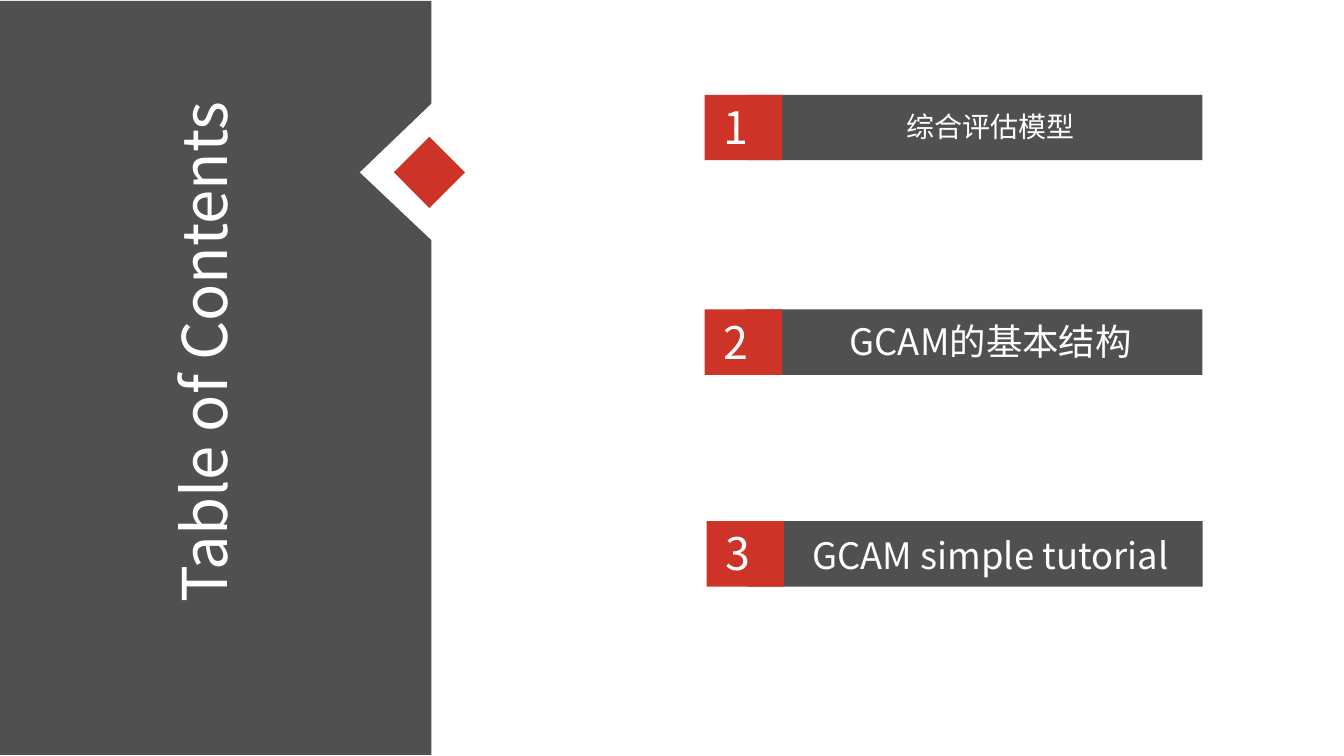
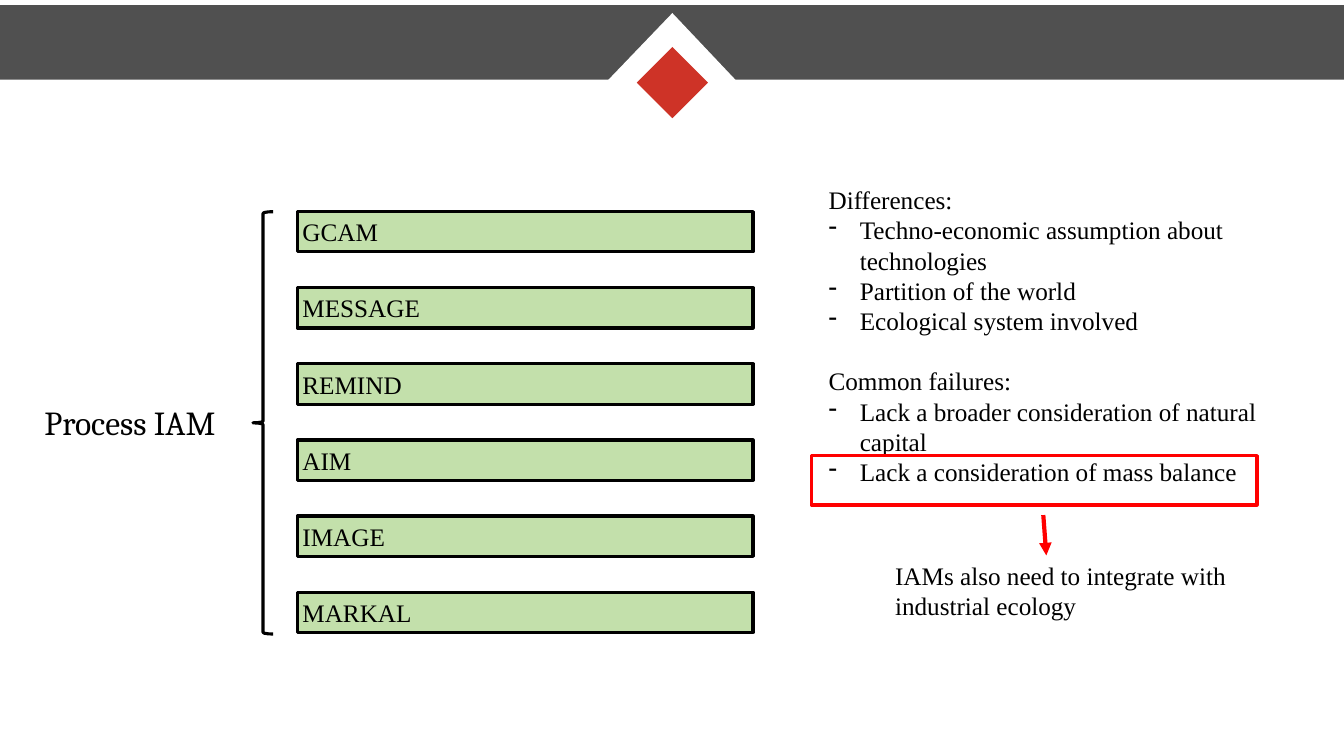
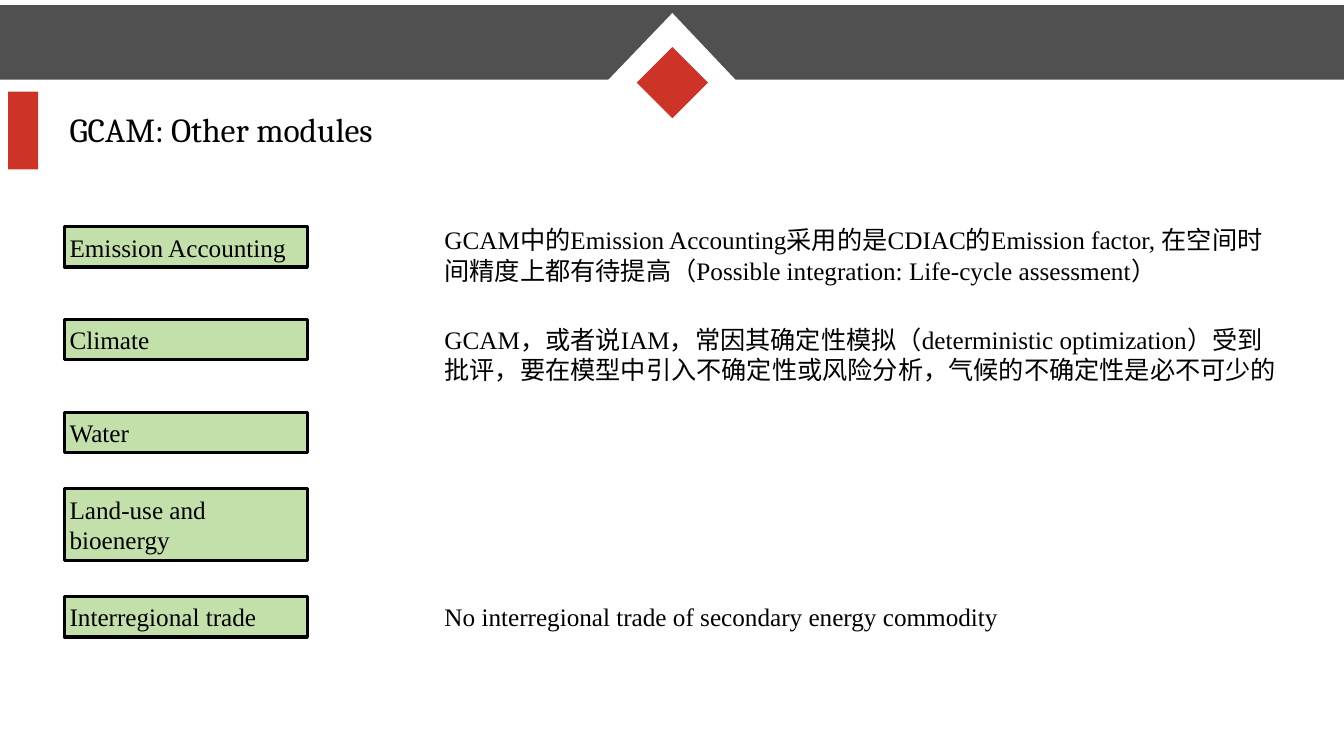
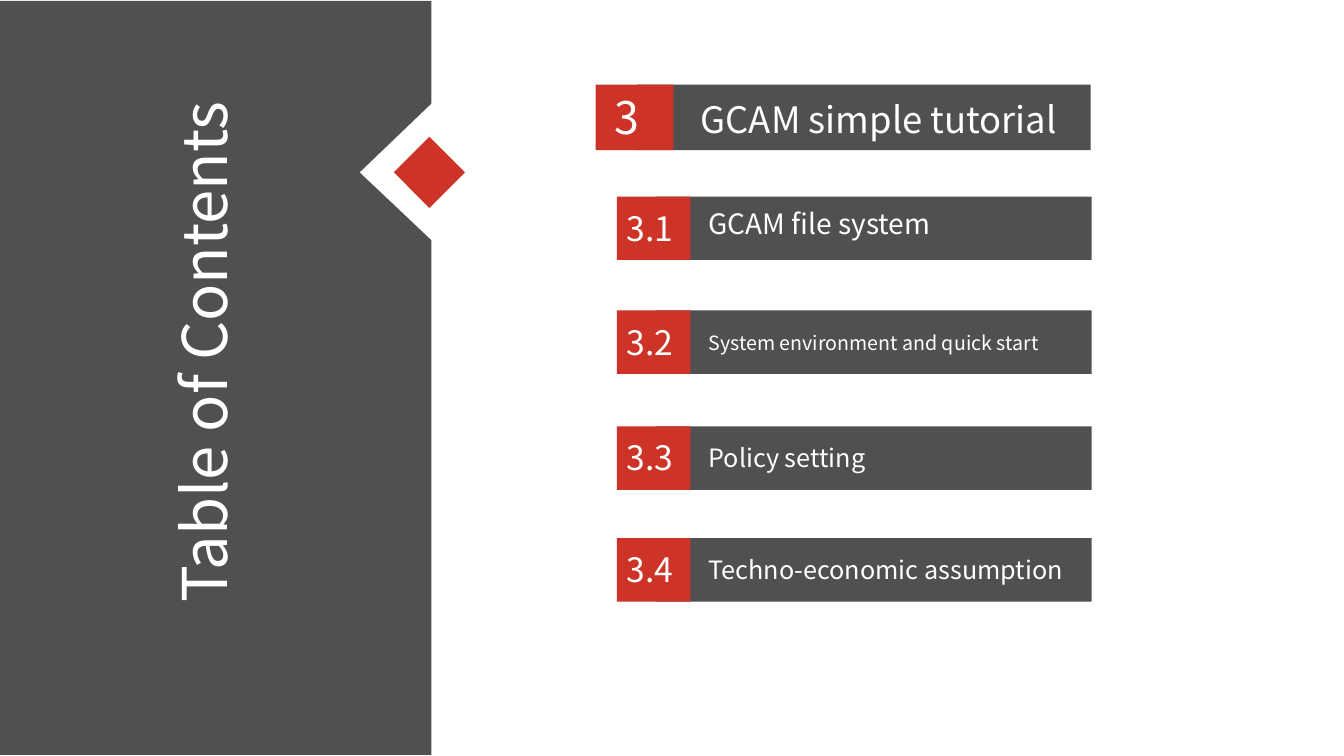
"""Build four slides on integrated assessment models and a GCAM tutorial."""
from dataclasses import dataclass

from lxml import etree
from pptx import Presentation
from pptx.dml.color import RGBColor
from pptx.enum.shapes import MSO_CONNECTOR, MSO_SHAPE
from pptx.enum.text import MSO_ANCHOR, MSO_AUTO_SIZE, PP_ALIGN
from pptx.oxml.ns import qn
from pptx.util import Inches, Pt

RECTANGLE, BRACE = MSO_SHAPE.RECTANGLE, MSO_SHAPE.LEFT_BRACE
STRAIGHT = MSO_CONNECTOR.STRAIGHT
LEFT, CENTER = PP_ALIGN.LEFT, PP_ALIGN.CENTER
TOP, MIDDLE = MSO_ANCHOR.TOP, MSO_ANCHOR.MIDDLE
FIXED = MSO_AUTO_SIZE.NONE

CELL = Inches(0.1)
COLUMNS, ROWS = 133.33, 75


@dataclass(frozen=True)
class Theme:
    gray: RGBColor = RGBColor(0x50, 0x50, 0x50)
    red: RGBColor = RGBColor(0xCE, 0x33, 0x27)
    alert: RGBColor = RGBColor(0xFF, 0, 0)
    green: RGBColor = RGBColor(0xC3, 0xE0, 0xAB)
    white: RGBColor = RGBColor(0xFF, 0xFF, 0xFF)
    black: RGBColor = RGBColor(0, 0, 0)
    sans: str = "Noto Sans CJK SC"
    heading: str = "Cambria"
    serif: str = "Times New Roman"
    cover_size: int = 44
    heading_size: int = 24
    body_size: int = 18
    outline: float = 2.25
    arrow: float = 3


@dataclass(frozen=True)
class Tier:
    tile: float
    height: float
    bar_shift: float
    number_size: int
    number_inset: float
    number_drop: float
    number_width: float
    label_width: float
    align: PP_ALIGN


THEME = Theme()
CHAPTER = Tier(7.7, 6.5, 4.1, 32, 1.4, 0, 4.6, 42, CENTER)
SECTION = Tier(7.3, 6.3, 3.9, 24, 0.5, 0.6, 6.1, 38.5, LEFT)


def block(slide, left, top, width, height, fill=None, line=None, kind=RECTANGLE, rotation=0):
    box = [round(length * CELL) for length in (left, top, width, height)]
    shape = slide.shapes.add_shape(kind, *box)
    shape.shadow.inherit = False
    shape.rotation = rotation
    if fill is None:
        shape.fill.background()
    else:
        shape.fill.solid()
        shape.fill.fore_color.rgb = fill
    if line is None:
        shape.line.fill.background()
    else:
        shape.line.color.rgb = line
        shape.line.width = Pt(THEME.outline)
    return shape


def write(target, text, box=None, font=THEME.serif, size=THEME.body_size,
          color=THEME.black, align=LEFT, anchor=TOP):
    if box:
        target = target.shapes.add_textbox(*[round(length * CELL) for length in box])
    frame = target.text_frame
    frame.auto_size = FIXED
    frame.word_wrap = True
    frame.vertical_anchor = anchor
    frame.margin_left = frame.margin_right = Inches(0.05)
    frame.margin_top = frame.margin_bottom = Inches(0.05)
    for index, words in enumerate(text.split("\n")):
        paragraph = frame.add_paragraph() if index else frame.paragraphs[0]
        paragraph.alignment = align
        if words.startswith("- "):
            properties = paragraph._p.get_or_add_pPr()
            properties.set("marL", str(Inches(0.31)))
            properties.set("indent", str(-Inches(0.31)))
            etree.SubElement(properties, qn("a:buChar")).set("char", "-")
        elif index and words.endswith(":"):
            paragraph.space_before = Pt(1.2 * size)
        run = paragraph.add_run()
        run.text = words.removeprefix("- ")
        run.font.name = font
        run.font.size = Pt(size)
        run.font.color.rgb = color
        etree.SubElement(run.font._element, qn("a:ea")).set("typeface", THEME.sans)


deck = Presentation()
deck.slide_width, deck.slide_height = round(COLUMNS * CELL), round(ROWS * CELL)
title_only, blank = deck.slide_layouts[5], deck.slide_layouts[6]

SIDE = dict(panel=(-0.3, 0.1, 43.1, 74.8), notch=[(35.7, 17.1), (43, 10.1), (43, 24)],
            diamond=(40.1, 14.6), title=(-10.9, 30.7, 62.2, 8.4), rotation=270,
            format=dict(font=THEME.sans, size=THEME.cover_size,
                        color=THEME.white, align=CENTER))
BAND = dict(panel=(-0.3, 0.5, COLUMNS + 0.3, 7.4),
            notch=[(66.7, 1.3), (73.6, 8.6), (59.7, 8.6)],
            diamond=(64.2, 5.7), title=(6.4, 10.3, 114.2, 5), rotation=0,
            format=dict(font=THEME.heading, size=THEME.heading_size))

slides = []
for design, heading in [(SIDE, "Table of Contents"), (BAND, None),
                        (BAND, "GCAM: Other modules"), (SIDE, "Table of Contents")]:
    slide = deck.slides.add_slide(title_only if heading else blank)
    slides.append(slide)
    block(slide, *design["panel"], fill=THEME.gray)
    corners = [(round(x * CELL), round(y * CELL)) for x, y in design["notch"]]
    outline = slide.shapes.build_freeform(*corners[0])
    outline.add_line_segments(corners[1:])
    notch = outline.convert_to_shape()
    notch.shadow.inherit = False
    notch.fill.solid()
    notch.fill.fore_color.rgb = THEME.white
    notch.line.fill.background()
    block(slide, *design["diamond"], 5, 5, fill=THEME.red, rotation=45)
    if heading:
        title = slide.shapes.title
        title.left, title.top, title.width, title.height = [
            round(length * CELL) for length in design["title"]]
        title.rotation = design["rotation"]
        write(title, heading, **design["format"])
        title.element.getparent().append(title.element)

contents, models, modules, tutorial = slides

for slide, tier, left, top, right, number, label, size, drop in [
    (contents, CHAPTER, 69.9, 9.4, 119.3, "1", "综合评估模型", 20, 1),
    (contents, CHAPTER, 69.9, 30.7, 119.3, "2", "GCAM的基本结构", 26, 0.5),
    (contents, CHAPTER, 70.1, 51.7, 119.3, "3", "GCAM simple tutorial", 26, 0.7),
    (tutorial, CHAPTER, 59.1, 8.4, 108.2, "3", "GCAM simple tutorial", 26, 0.7),
    (tutorial, SECTION, 61.2, 19.5, 108.3, "3.1", "GCAM file system", 20, 0.5),
    (tutorial, SECTION, 61.2, 30.8, 108.3, "3.2", "System environment and quick start", 14, 1.5),
    (tutorial, SECTION, 61.2, 42.3, 108.3, "3.3", "Policy setting", 18, 1.1),
    (tutorial, SECTION, 61.2, 53.4, 108.3, "3.4", "Techno-economic assumption", 18, 1.1),
]:
    bar_left = left + tier.bar_shift
    block(slide, bar_left, top, right - bar_left, tier.height, fill=THEME.gray)
    block(slide, left, top, tier.tile, tier.height, fill=THEME.red)
    write(slide, number,
          (left + tier.number_inset, top + tier.number_drop, tier.number_width, tier.height),
          font=THEME.sans, size=tier.number_size, color=THEME.white)
    write(slide, label,
          (right - tier.label_width, top + drop, tier.label_width, tier.height - drop),
          font=THEME.sans, size=size, color=THEME.white, align=tier.align)

write(models, "Process IAM", (3.9, 39.4, 18.8, 5),
      font=THEME.heading, size=THEME.heading_size)
block(models, 25.1, 21, 2, 41.9, line=THEME.black, kind=BRACE)
for row, model in enumerate(["GCAM", "MESSAGE", "REMIND", "AIM", "IMAGE", "MARKAL"]):
    model_box = block(models, 29.5, 21 + 7.55 * row, 45.2, 4,
                      fill=THEME.green, line=THEME.black)
    write(model_box, model, anchor=MIDDLE)

write(models, """Differences:
- Techno-economic assumption about technologies
- Partition of the world
- Ecological system involved
Common failures:
- Lack a broader consideration of natural capital
- Lack a consideration of mass balance""", (81.7, 17.8, 46.8, 31.3))
block(models, 80.5, 45.2, 44.2, 4.9, line=THEME.alert)
write(models, "IAMs also need to integrate with\nindustrial ecology", (88.3, 55.1, 36.4, 7.1))
consequence = models.shapes.add_connector(
    STRAIGHT, *[round(length * CELL) for length in (103.5, 51.1, 103.8, 55.1)])
consequence.line.color.rgb = THEME.alert
consequence.line.width = Pt(THEME.arrow)
properties = consequence.element.spPr
etree.SubElement(properties.find(qn("a:ln")), qn("a:tailEnd")).set("type", "triangle")
etree.SubElement(properties, qn("a:effectLst"))

block(modules, 0.8, 9.1, 3, 7.7, fill=THEME.red)
for top, height, module in [(22.5, 4, "Emission Accounting"), (31.7, 4, "Climate"),
                            (40.9, 4, "Water"), (48.5, 7.1, "Land-use and bioenergy"),
                            (59.2, 4, "Interregional trade")]:
    module_box = block(modules, 6.4, top, 24.1, height, fill=THEME.green, line=THEME.black)
    write(module_box, module, anchor=MIDDLE)
for top, height, remark in [
    (21.8, 7.1, "GCAM中的Emission Accounting采用的是CDIAC的Emission factor, "
                "在空间时间精度上都有待提高（Possible integration: Life-cycle assessment）"),
    (31.7, 10, "GCAM，或者说IAM，常因其确定性模拟（deterministic optimization）受到批评，"
               "要在模型中引入不确定性或风险分析，气候的不确定性是必不可少的"),
    (59.2, 4, "No interregional trade of secondary energy commodity"),
]:
    write(modules, remark, (43.6, top, 84, height))

deck.save("out.pptx")
